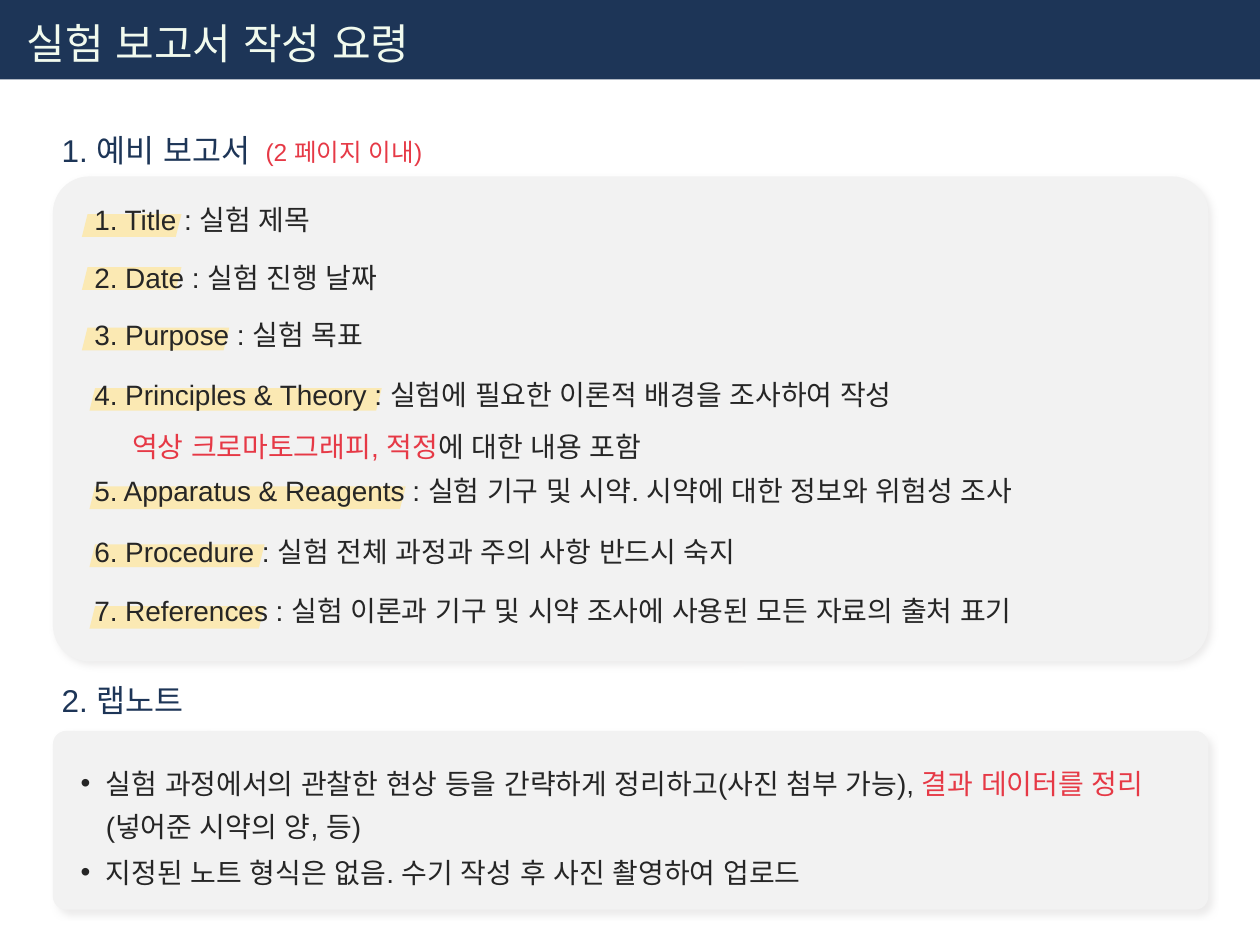
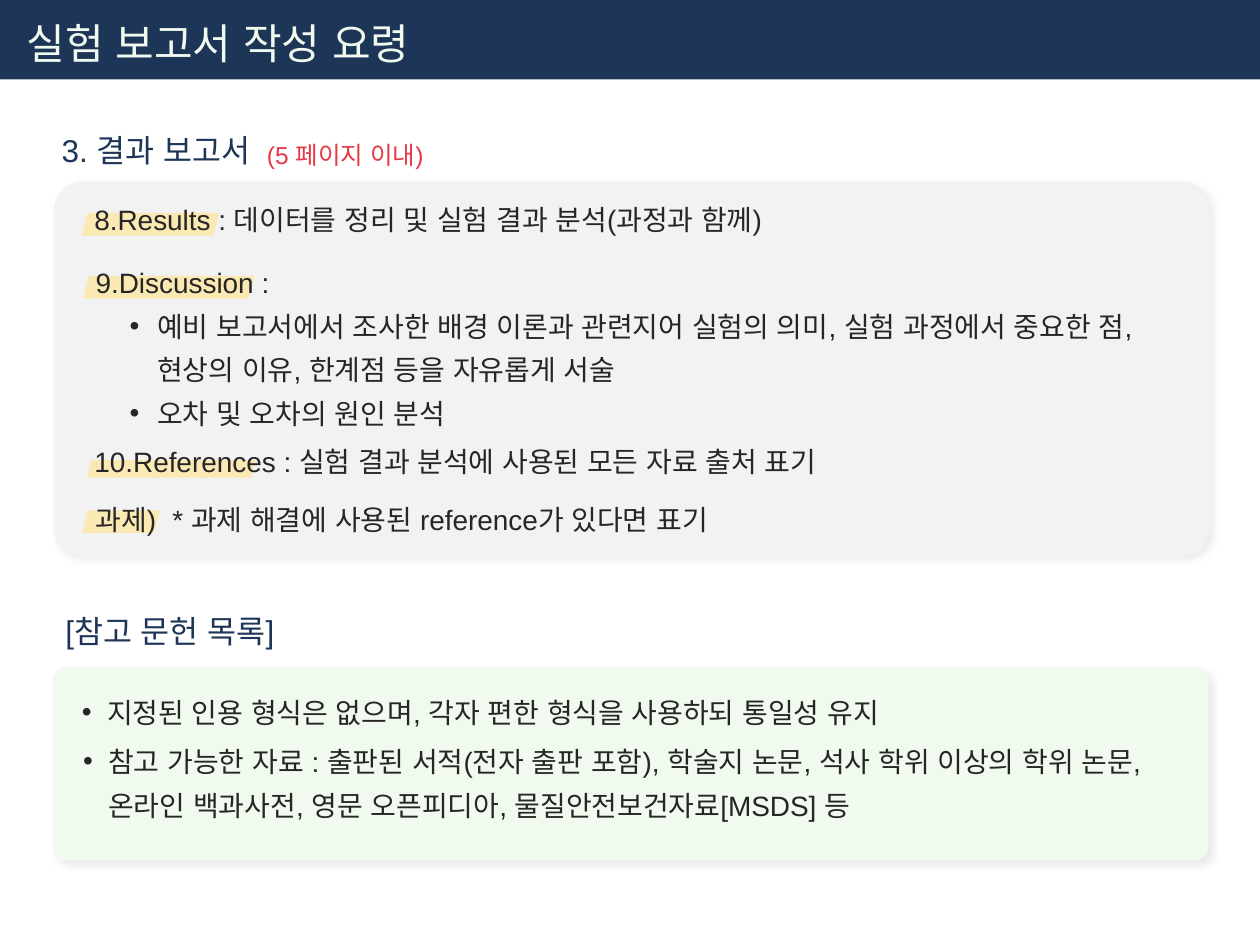
from dataclasses import dataclass

from lxml.etree import SubElement
from pptx import Presentation
from pptx.dml.color import RGBColor
from pptx.enum.lang import MSO_LANGUAGE_ID as Lang
from pptx.enum.shapes import MSO_SHAPE as Shape
from pptx.enum.text import MSO_ANCHOR as Anchor, MSO_AUTO_SIZE as AutoSize, PP_ALIGN as Align
from pptx.oxml.ns import qn
from pptx.util import Emu, Pt

# Shared style
EMU_PER_PX = 9144  # 100 px to the inch
WIDTH, HEIGHT = 1000, 750
TWO_LISTS_LAYOUT = 3
FONT = "Arial"
NAVY, MINT, RED = "1D3557", "F1FAEE", "E63946"
INK, GREY, YELLOW, SHADE = "262626", "F2F2F2", "FFE699", "D0CECE"
HEADING, BODY, LIMIT = 18, 16, 14
LINE = 1.3
TEXT_LEFT = 65
MARK_HEIGHT = 18
LIST_INDENT = (20, -20)
SUBLIST_INDENT = (49, -22)


def px(length):
    return Emu(length * EMU_PER_PX)


def rgb(color):
    return RGBColor.from_string(color)


@dataclass
class Para:
    runs: list  # (text, colour) pairs
    indent: tuple = (0, 0)  # left margin, first line
    bullet: bool = False


def plain(text):
    return Para([(text, INK)])


def bullet(*runs, indent=LIST_INDENT):
    return Para(list(runs), indent, True)


class Deck:
    def __init__(self):
        self.prs = Presentation()
        self.prs.slide_width, self.prs.slide_height = px(WIDTH), px(HEIGHT)
        self.slide = None

    def new_slide(self, title):
        layout = self.prs.slide_layouts[TWO_LISTS_LAYOUT]
        self.slide = self.prs.slides.add_slide(layout)
        self.shape(Shape.RECTANGLE, (0, 0, WIDTH, 63), NAVY)
        self.text((11, 9, 359, 50), [Para([(title, MINT)])], 24, 1.0, False,
                  self.slide.shapes.title)

    def shape(self, kind, box, color):
        shape = self.slide.shapes.add_shape(kind, *map(px, box))
        shape.shadow.inherit = False
        shape.fill.solid()
        shape.fill.fore_color.rgb = rgb(color)
        shape.line.fill.background()
        return shape

    def card(self, box, color=GREY):
        card = self.shape(Shape.ROUNDED_RECTANGLE, box, color)
        card.adjustments[0] = 0.075
        effects = card._element.spPr.find(qn("a:effectLst"))
        shadow = SubElement(effects, qn("a:outerShdw"), blurRad=str(Pt(4)), dist=str(Pt(3)),
                            dir="2700000", algn="tl", rotWithShape="0")
        shade = SubElement(shadow, qn("a:srgbClr"), val=SHADE)
        SubElement(shade, qn("a:alpha"), val="40000")

    def mark(self, left, top, width, height=MARK_HEIGHT):
        mark = self.shape(Shape.PARALLELOGRAM, (left, top, width, height), YELLOW)
        tint = mark._element.spPr.find(".//" + qn("a:srgbClr"))
        SubElement(tint, qn("a:alpha"), val="70000")

    def text(self, box, paras, size=BODY, line=LINE, wrap=True, holder=None):
        if holder is None:
            holder = self.slide.shapes.add_textbox(*map(px, box))
        else:
            holder.left, holder.top, holder.width, holder.height = map(px, box)
            self.slide.shapes._spTree.append(holder._element)  # bring to front
        frame = holder.text_frame
        frame.word_wrap = wrap
        frame.auto_size = AutoSize.SHAPE_TO_FIT_TEXT
        frame.vertical_anchor = Anchor.TOP
        for number, para in enumerate(paras):
            paragraph = frame.add_paragraph() if number else frame.paragraphs[0]
            self.fill_paragraph(paragraph, para, size, line)

    def fill_paragraph(self, paragraph, para, size, line):
        paragraph.alignment = Align.LEFT
        paragraph.line_spacing = line
        paragraph.space_before = paragraph.space_after = Pt(0)
        props = paragraph._p.get_or_add_pPr()
        left, first = para.indent
        props.set("marL", str(px(left)))
        props.set("indent", str(px(first)))
        if para.bullet:
            SubElement(props, qn("a:buFont"), typeface=FONT)
            SubElement(props, qn("a:buChar"), char="•")
        for words, color in para.runs:
            run = paragraph.add_run()
            run.text = words
            run.font.name, run.font.size = FONT, Pt(size)
            run.font.color.rgb = rgb(color)
            run.font.language_id = Lang.KOREAN

    def heading(self, box, words):
        self.text(box, [Para([(words, NAVY)])], HEADING, 1.0, False)

    def page_limit(self, left, top, words):
        self.text((left, top, 547, 41), [Para([(words, RED)])], LIMIT)

    def entry(self, words, top, width, mark, left=TEXT_LEFT):
        self.mark(*mark)
        self.text((left, top, width, 45), [plain(words)])

    def lists(self, *parts):
        holders = list(self.slide.placeholders)
        holders = [h for h in holders if h.placeholder_format.idx > 0]
        for holder, (box, para) in zip(holders, parts):
            self.text(box, [para], holder=holder)


def preliminary_report(deck):
    deck.new_slide("실험 보고서 작성 요령")

    # Preliminary report
    deck.heading((39, 99, 184, 40), "1. 예비 보고서")
    deck.page_limit(201, 97, "(2 페이지 이내)")
    deck.card((42, 140, 917, 385))
    entries = [
        ("1. Title : 실험 제목", 148, 547, (65, 170, 79)),
        ("2. Date : 실험 진행 날짜", 194, 547, (65, 212, 79)),
        ("3. Purpose : 실험 목표", 239, 547, (65, 260, 117)),
        ("4. Principles & Theory : 실험에 필요한 이론적 배경을 조사하여 작성",
         287, 846, (71, 308, 232)),
        ("5. Apparatus & Reagents : 실험 기구 및 시약. 시약에 대한 정보와 위험성 조사",
         363, 846, (71, 386, 251)),
        ("6. Procedure : 실험 전체 과정과 주의 사항 반드시 숙지", 411, 846, (71, 432, 139)),
        ("7. References : 실험 이론과 기구 및 시약 조사에 사용된 모든 자료의 출처 표기",
         458, 846, (71, 481, 139)),
    ]
    for entry in entries:
        deck.entry(*entry)
    theory_topics = Para([("역상 크로마토그래피, 적정", RED), ("에 대한 내용 포함", INK)], (6, 0))
    deck.text((89, 328, 846, 45), [theory_topics])

    # Lab notebook
    deck.heading((39, 536, 125, 40), "2. 랩노트")
    deck.card((42, 580, 917, 142))
    deck.lists(
        ((54, 595, 885, 80), bullet(
            ("실험 과정에서의 관찰한 현상 등을 간략하게 정리하고(사진 첨부 가능), ", INK),
            ("결과 데이터를 정리", RED),
            ("(넣어준 시약의 양, 등)", INK))),
        ((54, 666, 804, 45), bullet(
            ("지정된 노트 형식은 없음. 수기 작성 후 사진 촬영하여 업로드", INK))),
    )


def result_report(deck):
    deck.new_slide("실험 보고서 작성 요령")

    # Result report
    deck.heading((39, 99, 184, 40), "3. 결과 보고서")
    deck.page_limit(202, 99, "(5 페이지 이내)")
    deck.card((43, 144, 917, 298))
    deck.entry("8.Results : 데이터를 정리 및 실험 결과 분석(과정과 함께)",
               148, 895, (65, 169, 109))
    deck.mark(66, 219, 136)
    discussion = [
        "예비 보고서에서 조사한 배경 이론과 관련지어 실험의 의미, 실험 과정에서 중요한 점, "
        "현상의 이유, 한계점 등을 자유롭게 서술",
        "오차 및 오차의 원인 분석",
    ]
    deck.text((66, 198, 872, 150), [plain("9.Discussion :")] + [
        bullet((point, INK), indent=SUBLIST_INDENT) for point in discussion])
    deck.entry("10.References : 실험 결과 분석에 사용된 모든 자료 출처 표기",
               340, 642, (69, 365, 134, 14))
    deck.entry("과제)", 386, 547, (65, 405, 62), left=66)
    deck.text((127, 386, 547, 43), [plain("* 과제 해결에 사용된 reference가 있다면 표기")])

    # Reference list
    deck.heading((42, 481, 205, 40), "[참고 문헌 목록]")
    deck.card((42, 529, 917, 154), MINT)
    deck.lists(
        ((55, 539, 903, 45), bullet(
            ("지정된 인용 형식은 없으며, 각자 편한 형식을 사용하되 통일성 유지", INK))),
        ((56, 578, 903, 80), bullet(
            ("참고 가능한 자료 : 출판된 서적(전자 출판 포함), 학술지 논문, 석사 학위 이상의 "
             "학위 논문, 온라인 백과사전, 영문 오픈피디아, 물질안전보건자료[MSDS] 등", INK))),
    )


def main():
    deck = Deck()
    preliminary_report(deck)
    result_report(deck)
    deck.prs.save("out.pptx")


if __name__ == "__main__":
    main()
